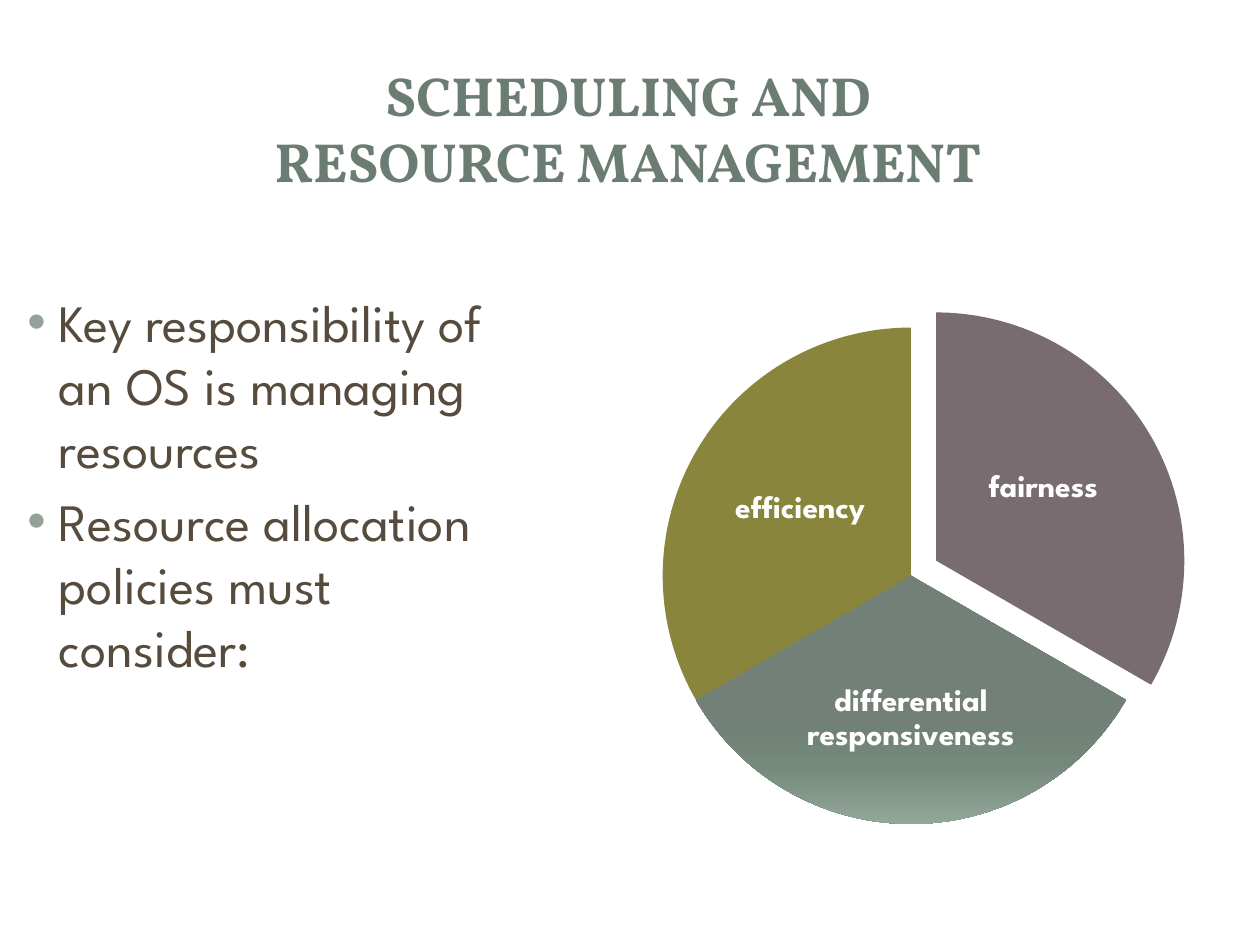
from copy import deepcopy

from lxml.etree import SubElement
from pptx import Presentation
from pptx.dml.color import RGBColor
from pptx.enum.shapes import MSO_SHAPE
from pptx.enum.text import MSO_ANCHOR, PP_ALIGN
from pptx.oxml.ns import qn
from pptx.util import Inches, Pt

HEADING_FONT, BODY_FONT = "Vollkorn", "League Spartan"
WHITE, SAGE, BROWN, BULLET = "FFFFFF", "6B7D72", "564B3C", "93A299"
MAUVE, OLIVE = "786C71", "8A853C"
SAGE_STOPS = [(0, "B6C3BB"), (25, "8B9890"), (38, "79867E"), (55, "728078"),
              (80, "708176"), (88, "75887C"), (100, "91A79A")]
PIE_SIZE = 3.94


def rgb(value):
    return RGBColor.from_string(value)


class SlideBuilder:
    def __init__(self, slide):
        self.slide = slide

    def shape(self, kind, box, fill, adjustments=()):
        shape = self.slide.shapes.add_shape(kind, *map(Inches, box))
        for index, value in enumerate(adjustments):
            shape.adjustments[index] = value
        shape.shadow.inherit = False
        shape.line.fill.background()
        if isinstance(fill, str):
            shape.fill.solid()
            shape.fill.fore_color.rgb = rgb(fill)
        else:
            self.gradient(shape, fill)
        return shape

    def panel(self, kind, box, adjustments=(), opacity=100):
        panel = self.shape(kind, box, WHITE, adjustments)
        if opacity < 100:
            color = panel._element.spPr.find(".//" + qn("a:srgbClr"))
            SubElement(color, qn("a:alpha"), val=str(opacity * 1000))

    def slice(self, left, top, start, end, fill):
        """Draw a pie slice between two clockwise angles in degrees."""
        # Angles are stored in 1/60000 degree, adjustments in 1/100000
        self.shape(MSO_SHAPE.PIE, (left, top, PIE_SIZE, PIE_SIZE), fill,
                   (start * 0.6, end * 0.6))

    def gradient(self, shape, stops):
        shape.fill.gradient()
        shape.fill.gradient_angle = 270
        stop_list = shape._element.spPr.find(".//" + qn("a:gsLst"))
        for _ in range(len(stops) - len(stop_list)):
            stop_list.append(deepcopy(stop_list[0]))
        for stop, (position, color) in zip(shape.fill.gradient_stops, stops):
            stop.position = position / 100
            stop.color.rgb = rgb(color)

    def text(self, box, content, size, color, font=BODY_FONT, bold=False,
             align=PP_ALIGN.LEFT, anchor=MSO_ANCHOR.TOP, inset=None):
        frame = self.slide.shapes.add_textbox(*map(Inches, box)).text_frame
        frame.word_wrap = True
        frame.vertical_anchor = anchor
        if inset is not None:
            frame.margin_left = frame.margin_right = Inches(inset)
            frame.margin_top = frame.margin_bottom = Inches(inset)
        frame.text = content
        for paragraph in frame.paragraphs:
            paragraph.alignment = align
            for run in paragraph.runs:
                run.font.name = font
                run.font.size = Pt(size)
                run.font.bold = bold
                run.font.color.rgb = rgb(color)
        return frame

    def bullets(self, box, items, size, color):
        frame = self.text(box, "\n".join(items), size, color)
        for index, paragraph in enumerate(frame.paragraphs):
            if index:
                paragraph.space_before = Pt(size * 0.2)
            properties = paragraph._p.get_or_add_pPr()
            properties.set("marL", str(Inches(0.37)))
            properties.set("indent", str(Inches(-0.25)))
            bullet_color = SubElement(properties, qn("a:buClr"))
            SubElement(bullet_color, qn("a:srgbClr"), val=BULLET)
            SubElement(properties, qn("a:buFont"), typeface="Arial")
            SubElement(properties, qn("a:buChar"), char="•")

    def label(self, box, content):
        frame = self.text(box, content, 18, WHITE, bold=True, align=PP_ALIGN.CENTER,
                          anchor=MSO_ANCHOR.MIDDLE, inset=0.03)
        frame.paragraphs[0].line_spacing = 0.9


def main():
    deck = Presentation()
    deck.slide_width, deck.slide_height = Inches(10), Inches(7.5)
    builder = SlideBuilder(deck.slides.add_slide(deck.slide_layouts[6]))

    # Page panel and title frame
    builder.panel(MSO_SHAPE.ROUNDED_RECTANGLE, (0.1, 0.11, 9.8, 7.29), (0.017,))
    builder.panel(MSO_SHAPE.RECTANGLE, (0.3, 0.3, 9.4, 1.45), opacity=83)
    builder.panel(MSO_SHAPE.RECTANGLE, (0.41, 0.41, 9.17, 1.22))

    # Title
    builder.text((0.47, 0.44, 9.03, 1.14), "SCHEDULING AND\vRESOURCE MANAGEMENT",
                 31.5, SAGE, HEADING_FONT, True, PP_ALIGN.CENTER, MSO_ANCHOR.MIDDLE)

    # Key points
    builder.bullets((0, 2.25, 4.33, 4.42),
                    ["Key responsibility of an OS is managing resources",
                     "Resource allocation policies must consider:"], 30, BROWN)

    # Policy goals: three equal slices, the first pulled out
    goals = [
        ("fairness", (5.46, 2.48), MAUVE, (7.61, 3.21, 1.34, 1.31)),
        ("differential responsiveness", (5.26, 2.6), SAGE_STOPS, (6.34, 5.09, 1.78, 1.22)),
        ("efficiency", (5.26, 2.6), OLIVE, (5.68, 3.38, 1.34, 1.31)),
    ]
    sweep = 360 / len(goals)
    for index, (goal, corner, fill, label_box) in enumerate(goals):
        start = (270 + index * sweep) % 360
        builder.slice(*corner, start, (start + sweep) % 360, fill)
        builder.label(label_box, goal)

    deck.save("out.pptx")


if __name__ == "__main__":
    main()
